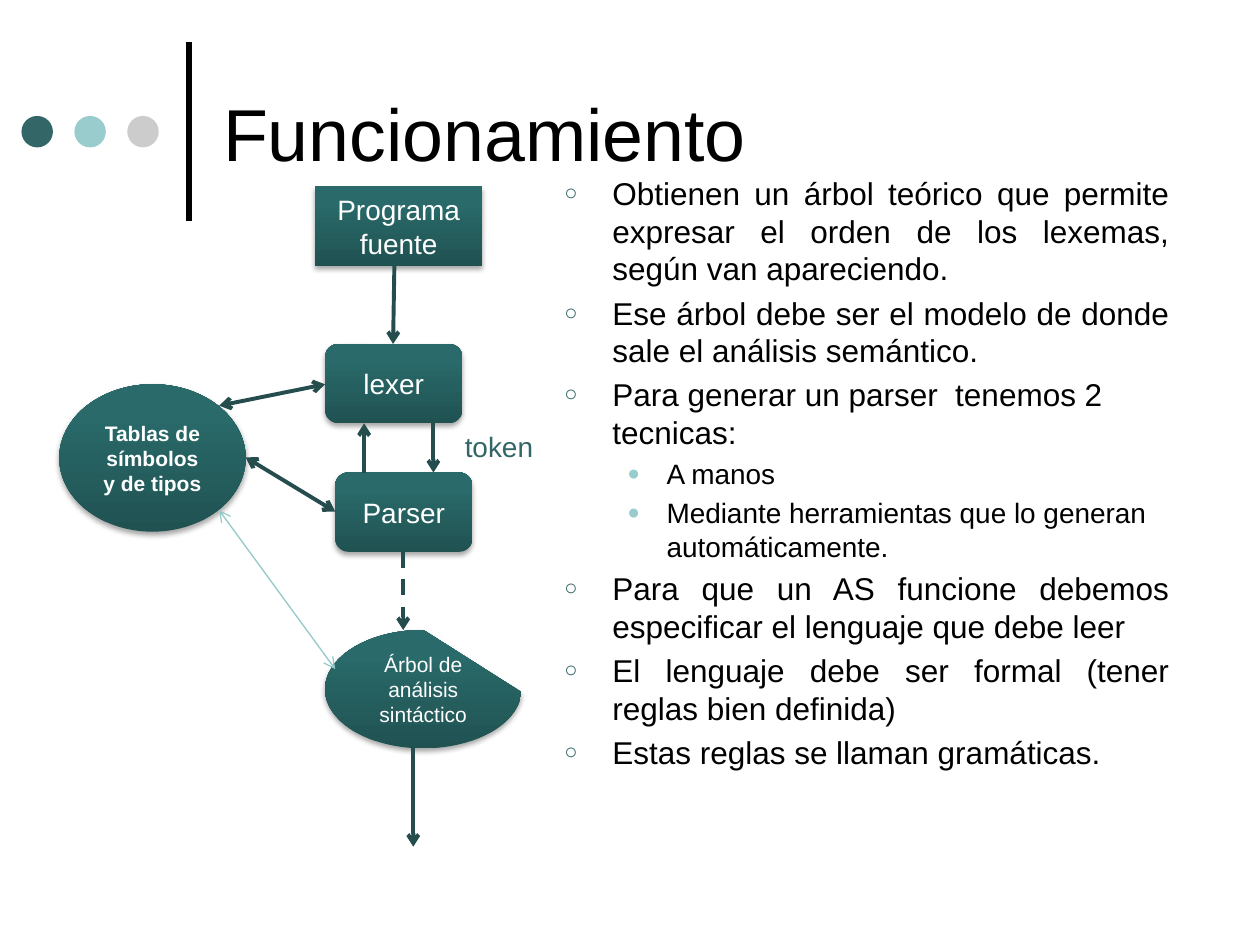
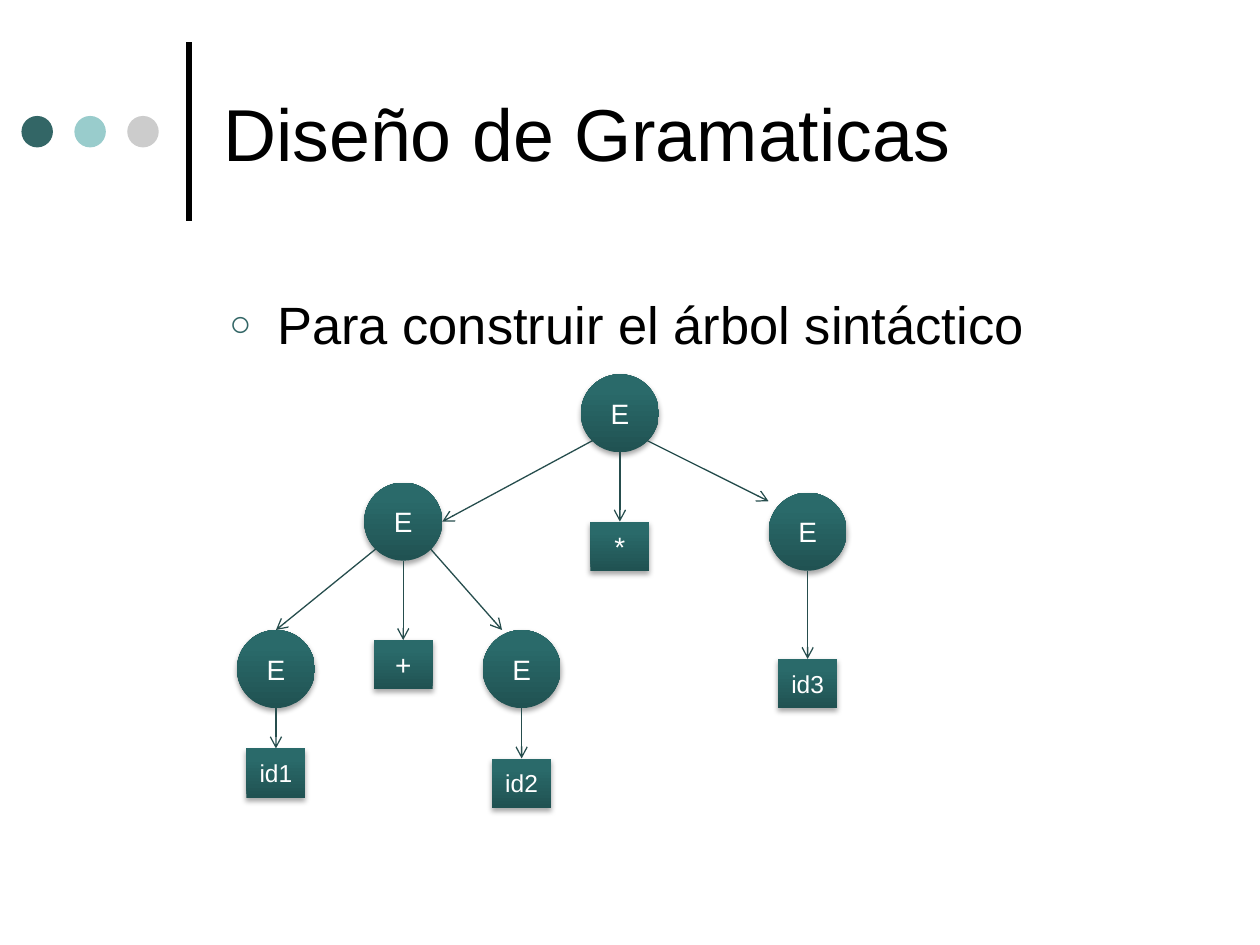
"""Builds two slides on parsers: how they work and how a syntax tree is drawn."""
from copy import deepcopy

from lxml.etree import SubElement
from pptx import Presentation
from pptx.dml.color import RGBColor
from pptx.enum.dml import MSO_LINE
from pptx.enum.shapes import MSO_CONNECTOR, MSO_SHAPE
from pptx.enum.text import MSO_ANCHOR, MSO_AUTO_SIZE, PP_ALIGN
from pptx.oxml.ns import qn
from pptx.util import Inches, Pt

FONT = "Arial"
BLACK, WHITE, TEAL, AQUA, GRAY = "000000", "FFFFFF", "336666", "99CCCC", "CCCCCC"
ARROW, PALE_ARROW = "264D4D", "94C9C9"
GRADIENT = [(0, "205252"), (0.8, "2A6A6A"), (1, "296C6C")]
TITLE_BOX = (1.67, 0.21, 7.67, 1.67)
BULLETS = [("○", TEAL, 70, 0.38, -0.38), ("●", AQUA, 75, 0.81, -0.31)]
JUSTIFY, LEFT = PP_ALIGN.JUSTIFY, PP_ALIGN.LEFT

WORKING_BOX = (4.38, 1.33, 5, 5.47)
WORKING = [
    ("Obtienen un árbol teórico que permite expresar el orden de los lexemas, "
     "según van apareciendo.", 0, 18, JUSTIFY),
    ("Ese árbol debe ser el modelo de donde sale el análisis semántico.", 0, 18, JUSTIFY),
    ("Para generar un parser  tenemos 2 tecnicas:", 0, 18, LEFT),
    ("A manos", 1, 16, LEFT),
    ("Mediante herramientas que lo generan automáticamente.", 1, 16, LEFT),
    ("Para que un AS funcione debemos especificar el lenguaje que debe leer", 0, 18, JUSTIFY),
    ("El lenguaje debe ser formal (tener reglas bien definida)", 0, 18, JUSTIFY),
    ("Estas reglas se llaman gramáticas.", 0, 18, LEFT),
]
STAGES = [
    ("Programa fuente", MSO_SHAPE.RECTANGLE, (2.5, 1.48, 1.33, 0.63), 16, False),
    ("lexer", MSO_SHAPE.ROUNDED_RECTANGLE, (2.58, 2.73, 1.09, 0.63), 16, False),
    ("Parser", MSO_SHAPE.ROUNDED_RECTANGLE, (2.66, 3.75, 1.09, 0.63), 16, False),
    ("Árbol de análisis sintáctico", MSO_SHAPE.CHORD, (2.58, 5, 1.56, 0.94), 12, False),
    ("Tablas de símbolos y de tipos", MSO_SHAPE.OVAL, (0.47, 3.05, 1.48, 1.17), 12, True),
]
FLOWS = [
    ((3.13, 2.11), (3.12, 2.73)),
    ((3.44, 3.36), (3.44, 3.75)),
    ((2.89, 3.75), (2.89, 3.36)),
    ((3.28, 5.94), (3.28, 6.72)),
]
LOOKUPS = [
    ((1.74, 3.22), (2.58, 3.05), ARROW, 2.25),
    ((1.95, 3.63), (2.66, 4.06), ARROW, 2.25),
    ((1.74, 4.05), (2.66, 5.31), PALE_ARROW, 0.75),
]

GRAMMAR_BOX = (1.72, 2.27, 7.67, 1.09)
GRAMMAR = [("Para construir el árbol sintáctico", 0, 30, LEFT)]
CIRCLE, TOKEN = (0.62, 0.62), (0.47, 0.39)
NODES = {
    "root": ("E", 4.92, 2.97),
    "right": ("E", 6.41, 3.91),
    "left": ("E", 3.2, 3.83),
    "inner": ("E", 4.14, 5),
    "outer": ("E", 2.19, 5),
    "times": ("*", 4.92, 4.14),
    "id3": ("id3", 6.41, 5.23),
    "plus": ("+", 3.2, 5.08),
    "id2": ("id2", 4.14, 6.02),
    "id1": ("id1", 2.19, 5.94),
}
TOP, BOTTOM, RIGHT_SIDE = (0.5, 0), (0.5, 1), (1, 0.5)
LOWER_LEFT, LOWER_RIGHT = (0.15, 0.85), (0.85, 0.85)
UPPER_LEFT_EDGE, TOP_LEFT_EDGE = (0, 0.11), (0.25, 0)
BRANCHES = [
    ("root", LOWER_LEFT, "left", RIGHT_SIDE),
    ("root", BOTTOM, "times", TOP),
    ("root", LOWER_RIGHT, "right", UPPER_LEFT_EDGE),
    ("left", LOWER_LEFT, "outer", TOP),
    ("left", LOWER_RIGHT, "inner", TOP_LEFT_EDGE),
    ("left", BOTTOM, "plus", TOP),
    ("right", BOTTOM, "id3", TOP),
    ("outer", BOTTOM, "id1", TOP),
    ("inner", BOTTOM, "id2", TOP),
]


def color(value):
    return RGBColor.from_string(value)


def inches(values):
    return [Inches(value) for value in values]


def place(shape, box):
    shape.left, shape.top, shape.width, shape.height = inches(box)


def set_font(para, size, value, bold=False):
    font = para.font
    font.name, font.size, font.bold = FONT, Pt(size), bold
    font.color.rgb = color(value)


def add_line(page, start, end, value, width, heads=(), dashed=False):
    line = page.shapes.add_connector(MSO_CONNECTOR.STRAIGHT, *inches(start + end))
    line.line.color.rgb = color(value)
    line.line.width = Pt(width)
    if dashed:
        line.line.dash_style = MSO_LINE.DASH
    properties = line.element.spPr
    for head in heads:
        SubElement(properties.find(qn("a:ln")), qn(head), type="arrow")
    SubElement(properties, qn("a:effectLst"))
    return line


def add_flat(page, kind, box):
    shape = page.shapes.add_shape(kind, *inches(box))
    shape.shadow.inherit = False
    shape.line.fill.background()
    return shape


def add_node(page, text, kind, box, size, bold=False):
    shape = add_flat(page, kind, box)
    properties = shape.element.spPr
    shape.fill.gradient()
    stops = properties.find(".//" + qn("a:gsLst"))
    stops.append(deepcopy(stops[0]))
    for stop, (position, value) in zip(shape.fill.gradient_stops, GRADIENT):
        stop.position = position
        stop.color.rgb = color(value)
    shape.fill.gradient_angle = 90
    shadow = SubElement(properties.find(qn("a:effectLst")), qn("a:outerShdw"),
                        blurRad=str(Pt(3.1)), dist=str(Pt(1.8)), dir="5400000", rotWithShape="0")
    tint = SubElement(shadow, qn("a:srgbClr"), val=BLACK)
    SubElement(tint, qn("a:alpha"), val="35000")
    frame = shape.text_frame
    frame.word_wrap = True
    frame.vertical_anchor = MSO_ANCHOR.MIDDLE
    frame.text = text
    para = frame.paragraphs[0]
    para.alignment = PP_ALIGN.CENTER
    set_font(para, size, WHITE, bold)
    return shape


def add_bullet(para, level):
    mark, value, percent, margin, indent = BULLETS[level]
    properties = para._p.get_or_add_pPr()
    properties.set("marL", str(Inches(margin)))
    properties.set("indent", str(Inches(indent)))
    SubElement(SubElement(properties, qn("a:buClr")), qn("a:srgbClr"), val=value)
    SubElement(properties, qn("a:buSzPct"), val=str(percent * 1000))
    SubElement(properties, qn("a:buFont"), typeface=FONT)
    SubElement(properties, qn("a:buChar"), char=mark)


def add_page(deck, title, box, items):
    page = deck.slides.add_slide(deck.slide_layouts[1])
    heading, body = page.placeholders
    heading.text_frame.text = title
    heading.text_frame.vertical_anchor = MSO_ANCHOR.MIDDLE
    para = heading.text_frame.paragraphs[0]
    para.alignment = LEFT
    set_font(para, 42, BLACK)
    place(body, box)
    frame = body.text_frame
    frame.auto_size = MSO_AUTO_SIZE.NONE
    for index, (text, level, size, alignment) in enumerate(items):
        para = frame.add_paragraph() if index else frame.paragraphs[0]
        para.text, para.level, para.alignment = text, level, alignment
        add_bullet(para, level)
        set_font(para, size, BLACK)
    return page


def decorate_layout(layout, page):
    place(layout.placeholders[0], TITLE_BOX)
    parts = [add_line(page, (1.5, 1.75), (1.5, 0.33), BLACK, 3)]
    for index, value in enumerate([TEAL, AQUA, GRAY]):
        dot = add_flat(page, MSO_SHAPE.OVAL, (0.17 + 0.42 * index, 0.92, 0.25, 0.25))
        dot.fill.solid()
        dot.fill.fore_color.rgb = color(value)
        parts.append(dot)
    for part in parts:
        layout.shapes.element.append(part.element)


def draw_pipeline(page):
    for text, kind, box, size, bold in STAGES:
        shape = add_node(page, text, kind, box, size, bold)
        if kind == MSO_SHAPE.CHORD:
            shape.adjustments[0], shape.adjustments[1] = 1.022, 162
    for start, end in FLOWS:
        add_line(page, start, end, ARROW, 2.25, ["a:tailEnd"])
    add_line(page, (3.2, 4.38), (3.2, 5), ARROW, 2.25, ["a:tailEnd"], dashed=True)
    for start, end, value, width in LOOKUPS:
        add_line(page, start, end, value, width, ["a:headEnd", "a:tailEnd"])
    label = page.shapes.add_textbox(*inches((3.59, 3.36, 0.75, 0.37)))
    label.text_frame.word_wrap = False
    label.text_frame.auto_size = MSO_AUTO_SIZE.SHAPE_TO_FIT_TEXT
    label.text_frame.text = "token"
    set_font(label.text_frame.paragraphs[0], 16, TEAL)


def draw_tree(page):
    boxes = {}
    for name, (text, center, top) in NODES.items():
        is_circle = text == "E"
        width, height = CIRCLE if is_circle else TOKEN
        boxes[name] = (center - width / 2, top, width, height)
        kind = MSO_SHAPE.OVAL if is_circle else MSO_SHAPE.RECTANGLE
        add_node(page, text, kind, boxes[name], 14 if text.startswith("id") else 16)

    def point(name, spot):
        left, top, width, height = boxes[name]
        return left + width * spot[0], top + height * spot[1]

    for parent, start, child, end in BRANCHES:
        add_line(page, point(parent, start), point(child, end), ARROW, 0.75, ["a:tailEnd"])


deck = Presentation()
deck.slide_width, deck.slide_height = inches((10, 7.5))
working = add_page(deck, "Funcionamiento", WORKING_BOX, WORKING)
decorate_layout(deck.slide_layouts[1], working)
draw_pipeline(working)
draw_tree(add_page(deck, "Diseño de Gramaticas", GRAMMAR_BOX, GRAMMAR))
deck.save("out.pptx")
